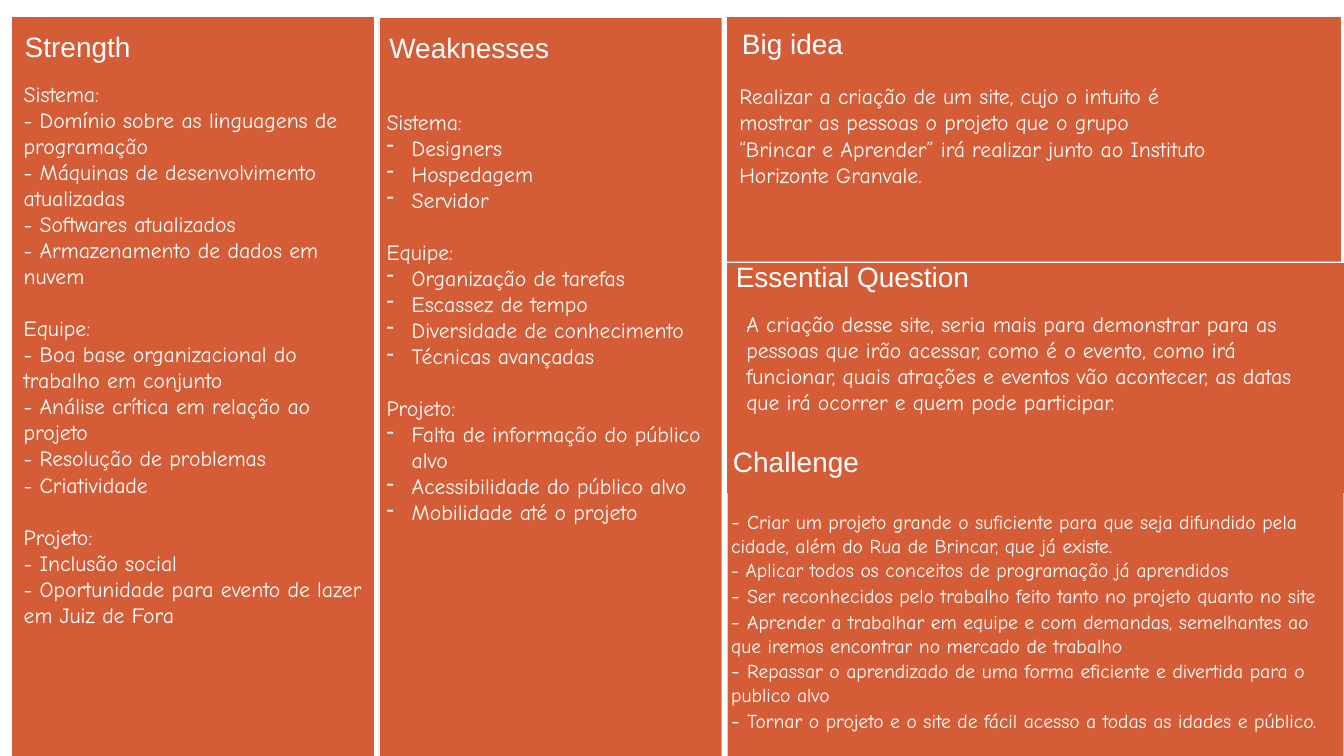
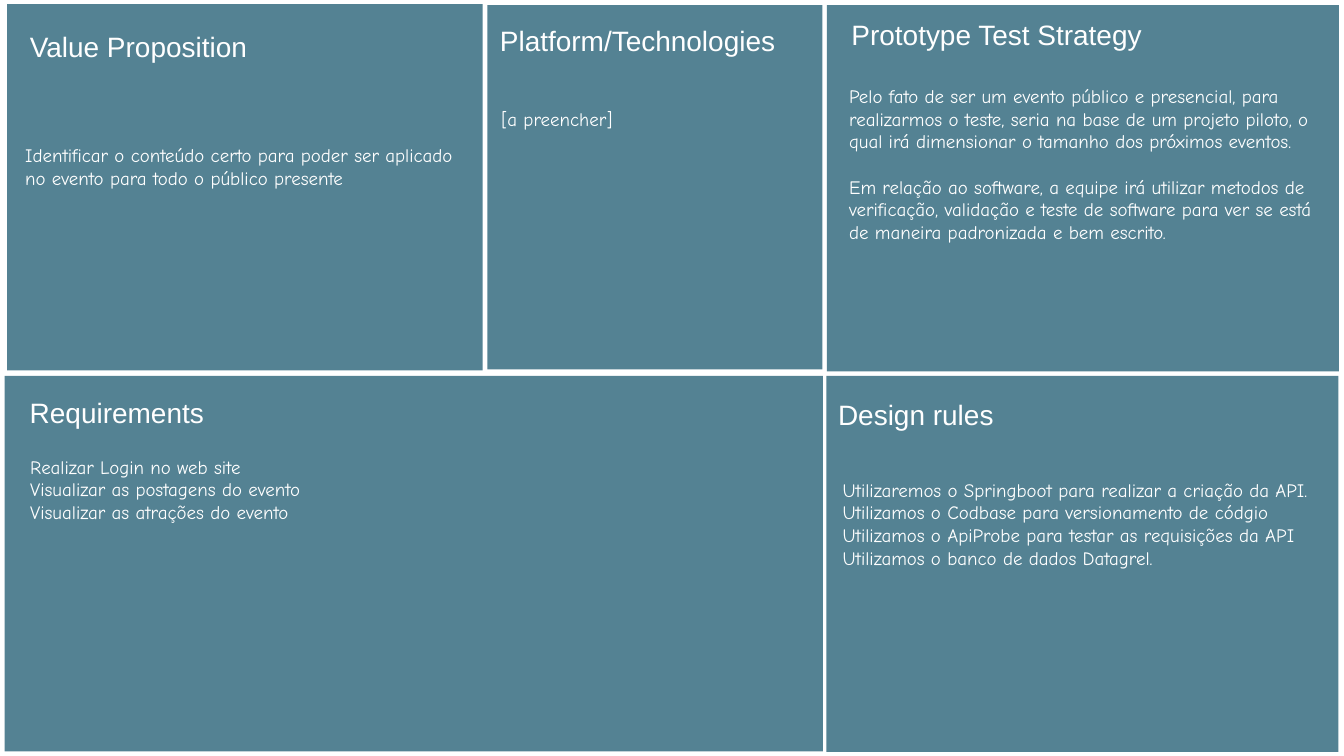
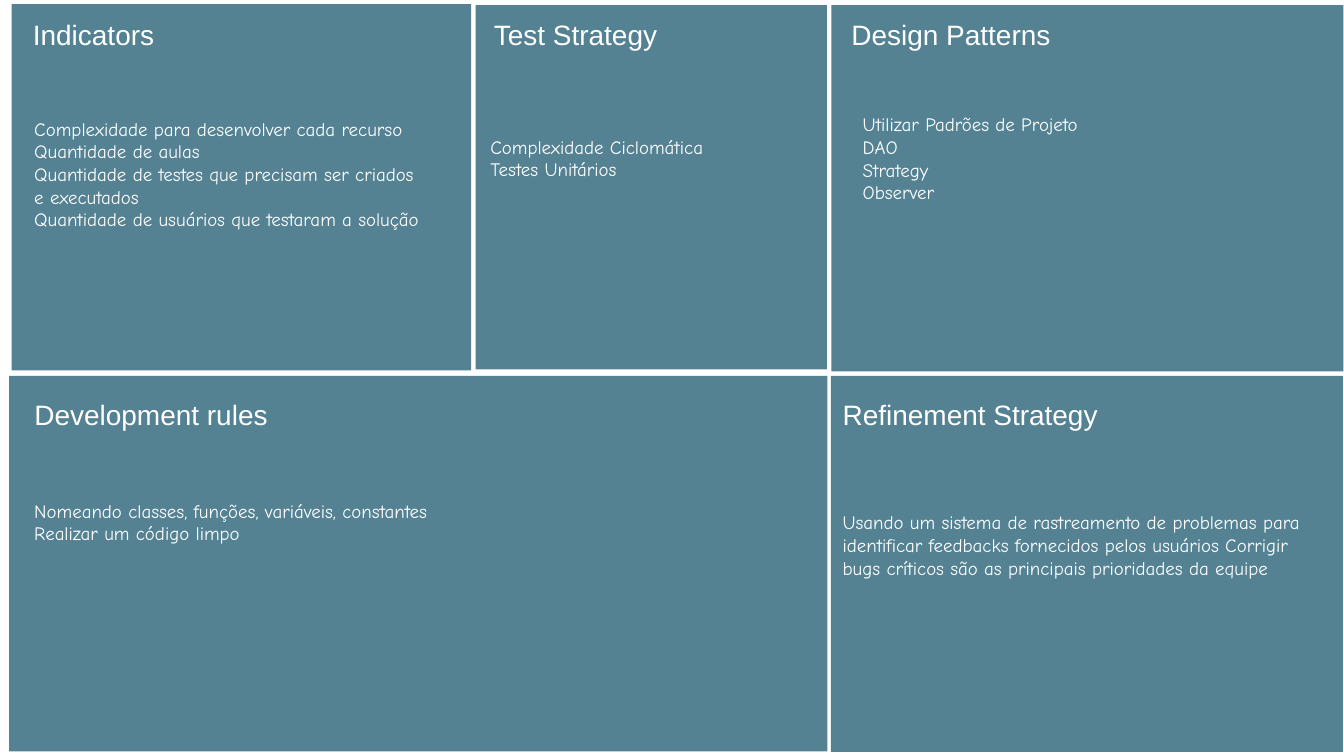
from dataclasses import dataclass

from lxml.etree import SubElement
from pptx import Presentation
from pptx.dml.color import RGBColor
from pptx.enum.shapes import MSO_SHAPE
from pptx.enum.text import MSO_ANCHOR, MSO_AUTO_SIZE, PP_ALIGN
from pptx.oxml.ns import qn
from pptx.util import Inches, Pt

ORANGE = RGBColor(0xD4, 0x5D, 0x37)
TEAL = RGBColor(0x54, 0x82, 0x93)
WHITE = RGBColor(0xFF, 0xFF, 0xFF)
HEADING_FONT = "Arial"
BODY_FONT = "Comic Neue"
HEADING_SIZE = 40
HEADING_HEIGHT = 0.72
INSET = 0.03
BULLET_INDENT = 0.5
LINE_RATIO = 1.2

Box = tuple[float, float, float, float]
Sections = tuple[tuple[str, ...], ...]


@dataclass(frozen=True)
class Panel:
    box: Box
    heading: str
    heading_at: tuple[float, float, float]
    body_box: Box
    sections: Sections
    centered: bool = True
    wrap_heading: bool = False
    outlined: bool = False
    bulleted: bool = False
    dash_size: float | None = None


@dataclass(frozen=True)
class Canvas:
    color: RGBColor
    size: float
    panels: tuple[Panel, ...]


SWOT = Canvas(ORANGE, 31, (
    Panel(
        (0.23, 0.32, 7.2, 14.83), "Strength", (0.41, 0.56, 2.26),
        (0.44, 1.52, 6.91, 11.01),
        (
            ("Sistema:",
             "- Domínio sobre as linguagens de programação",
             "- Máquinas de desenvolvimento atualizadas",
             "- Softwares atualizados",
             "- Armazenamento de dados em nuvem"),
            ("Equipe:",
             "- Boa base organizacional do trabalho em conjunto",
             "- Análise crítica em relação ao projeto",
             "- Resolução de problemas",
             "- Criatividade"),
            ("Projeto:",
             "- Inclusão social",
             "- Oportunidade para evento de lazer em Juiz de Fora"),
        ),
        outlined=True,
    ),
    Panel(
        (7.52, 0.34, 6.8, 14.8), "Weaknesses", (7.66, 0.58, 3.3),
        (7.64, 2.08, 6.54, 8.41),
        (
            ("Sistema:", "Designers", "Hospedagem", "Servidor"),
            ("Equipe:", "Organização de tarefas", "Escassez de tempo",
             "Diversidade de conhecimento", "Técnicas avançadas"),
            ("Projeto:", "Falta de informação do público alvo",
             "Acessibilidade do público alvo", "Mobilidade até o projeto"),
        ),
        outlined=True, bulleted=True,
    ),
    Panel(
        (14.43, 0.34, 12.18, 4.85), "Big idea", (14.64, 0.5, 2.17),
        (14.64, 1.61, 9.43, 2.15),
        (("Realizar a criação de um site, cujo o intuito é mostrar as pessoas "
          "o projeto que o grupo “Brincar e Aprender” irá realizar junto ao "
          "Instituto Horizonte Granvale.",),),
    ),
    Panel(
        (14.43, 5.22, 12.24, 4.56), "Essential Question", (14.49, 5.13, 4.85),
        (14.78, 6.12, 10.9, 2.15),
        (("A criação desse site, seria mais para demonstrar para as pessoas "
          "que irão acessar, como é o evento, como irá funcionar, quais "
          "atrações e eventos vão acontecer, as datas que irá ocorrer e quem "
          "pode participar.",),),
    ),
    Panel(
        (14.44, 9.16, 12.22, 6.02), "Challenge", (14.48, 8.8, 2.63),
        (14.48, 9.54, 12.04, 5.54),
        (("- Criar um projeto grande o suficiente para que seja difundido "
          "pela cidade, além do Rua de Brincar, que já existe.",
          "- Aplicar todos os conceitos de programação já aprendidos",
          "- Ser reconhecidos pelo trabalho feito tanto no projeto quanto no "
          "site",
          "- Aprender a trabalhar em equipe e com demandas, semelhantes ao "
          "que iremos encontrar no mercado de trabalho",
          "- Repassar o aprendizado de uma forma eficiente e divertida para o "
          "publico alvo",
          "- Tornar o projeto e o site de fácil acesso a todas as idades e "
          "público."),),
        dash_size=28,
    ),
))

PRODUCT = Canvas(TEAL, 27, (
    Panel(
        (0.14, 0.08, 9.44, 7.27), "Value Proposition", (0.47, 0.56, 4.55),
        (0.47, 2.82, 8.56, 0.97),
        (("Identificar o conteúdo certo para poder ser aplicado no evento "
          "para todo o público presente",),),
    ),
    Panel(
        (9.67, 0.1, 6.65, 7.23), "Platform/Technologies", (9.89, 0.43, 5.91),
        (9.92, 2.07, 5.84, 0.59), (("[a preencher]",),),
        centered=False, wrap_heading=True,
    ),
    Panel(
        (16.41, 0.1, 10.16, 7.27), "Prototype Test Strategy",
        (16.72, 0.32, 6.11), (16.82, 1.41, 9.49, 3.69),
        (
            ("Pelo fato de ser um evento público e presencial, para "
             "realizarmos o teste, seria na base de um projeto piloto, o qual "
             "irá dimensionar o tamanho dos próximos eventos.",),
            ("Em relação ao software, a equipe irá utilizar metodos de "
             "verificação, validação e teste de software para ver se está de "
             "maneira padronizada e bem escrito.",),
        ),
    ),
    Panel(
        (0.09, 7.46, 16.24, 7.45), "Requirements", (0.56, 7.83, 6.61),
        (0.57, 9, 12.17, 1.42),
        (("Realizar Login no web site",
          "Visualizar as postagens do evento",
          "Visualizar as atrações do evento"),),
        centered=False, wrap_heading=True,
    ),
    Panel(
        (16.4, 7.46, 10.16, 7.46), "Design rules", (16.6, 7.86, 5.99),
        (16.69, 9, 9.6, 2.78),
        (("Utilizaremos o Springboot para realizar a criação da API.",
          "Utilizamos o Codbase para versionamento de códgio",
          "Utilizamos o ApiProbe para testar as requisições da API",
          "Utilizamos o banco de dados Datagrel."),),
        centered=False, wrap_heading=True,
    ),
))

QUALITY = Canvas(TEAL, 27, (
    Panel(
        (0.23, 0.08, 9.12, 7.27), "Indicators", (0.54, 0.32, 2.63),
        (0.65, 1.83, 7.74, 3.24),
        (("Complexidade para desenvolver cada recurso",
          "Quantidade de aulas",
          "Quantidade de testes que precisam ser criados e executados",
          "Quantidade de usuários que testaram a solução"),),
    ),
    Panel(
        (9.44, 0.1, 6.97, 7.23), "Test Strategy", (9.7, 0.32, 3.44),
        (9.7, 2.65, 6.46, 0.97),
        (("Complexidade Ciclomática", "Testes Unitários"),),
    ),
    Panel(
        (16.5, 0.1, 10.16, 7.27), "Design Patterns", (16.78, 0.32, 4.18),
        (17.09, 2.2, 7.74, 1.88),
        (("Utilizar Padrões de Projeto", "DAO", "Strategy", "Observer"),),
    ),
    Panel(
        (0.18, 7.46, 16.24, 7.45), "Development rules", (-0.31, 7.86, 6.61),
        (0.65, 9.87, 12.93, 0.97),
        (("Nomeando classes, funções, variáveis, constantes",
          "Realizar um código limpo"),),
        wrap_heading=True,
    ),
    Panel(
        (16.49, 7.46, 10.16, 7.46), "Refinement Strategy",
        (16.69, 7.86, 5.99), (16.69, 9.87, 9.54, 1.88),
        (("Usando um sistema de rastreamento de problemas para identificar "
          "feedbacks fornecidos pelos usuários Corrigir bugs críticos são as "
          "principais prioridades da equipe",),),
        centered=False, wrap_heading=True,
    ),
))


def add_rect(slide, box: Box, color: RGBColor, outlined: bool) -> None:
    sp = slide.shapes.add_shape(MSO_SHAPE.RECTANGLE, *map(Inches, box))
    sp.shadow.inherit = False
    sp.fill.solid()
    sp.fill.fore_color.rgb = color
    if outlined:
        sp.line.color.rgb = WHITE
        sp.line.width = Pt(0.25)
    else:
        sp.line.fill.background()


def add_run(p, text: str, font: str, size: float) -> None:
    r = p.add_run()
    r.text = text
    r.font.name = font
    r.font.size = Pt(size)
    r.font.color.rgb = WHITE


def add_bullet(p) -> None:
    pPr = p._p.get_or_add_pPr()
    pPr.set("marL", str(Inches(BULLET_INDENT)))
    pPr.set("indent", str(-Inches(BULLET_INDENT)))
    SubElement(pPr, qn("a:buChar")).set("char", "-")


def add_text(slide, box: Box, sections: Sections, *, font: str, size: float,
             align: PP_ALIGN = PP_ALIGN.LEFT, wrap: bool = True,
             bulleted: bool = False, dash_size: float | None = None) -> None:
    tf = slide.shapes.add_textbox(*map(Inches, box)).text_frame
    tf.word_wrap = wrap
    tf.auto_size = MSO_AUTO_SIZE.SHAPE_TO_FIT_TEXT
    tf.vertical_anchor = MSO_ANCHOR.MIDDLE
    tf.margin_left = tf.margin_right = Inches(INSET)
    tf.margin_top = tf.margin_bottom = Inches(INSET)
    lines = [(i, j, line) for i, section in enumerate(sections)
             for j, line in enumerate(section)]
    for i, j, line in lines:
        p = tf.paragraphs[0] if i == j == 0 else tf.add_paragraph()
        p.alignment = align
        if i and j == 0:
            p.space_before = Pt(size * LINE_RATIO)
        if bulleted and j:
            add_bullet(p)
        if dash_size and j != 1:
            add_run(p, line[:2], font, size)
            add_run(p, line[2:], font, dash_size)
        else:
            add_run(p, line, font, dash_size or size)


def add_panel(slide, panel: Panel, canvas: Canvas) -> None:
    add_rect(slide, panel.box, canvas.color, panel.outlined)
    add_text(slide, (*panel.heading_at, HEADING_HEIGHT), ((panel.heading,),),
             font=HEADING_FONT, size=HEADING_SIZE, wrap=panel.wrap_heading,
             align=PP_ALIGN.CENTER if panel.centered else PP_ALIGN.LEFT)
    add_text(slide, panel.body_box, panel.sections, font=BODY_FONT,
             size=canvas.size, bulleted=panel.bulleted,
             dash_size=panel.dash_size)


def main() -> None:
    prs = Presentation()
    prs.slide_width = Inches(26.67)
    prs.slide_height = Inches(15)
    for canvas in (SWOT, PRODUCT, QUALITY):
        s = prs.slides.add_slide(prs.slide_layouts[6])
        for panel in canvas.panels:
            add_panel(s, panel, canvas)
    prs.save("out.pptx")


if __name__ == "__main__":
    main()
